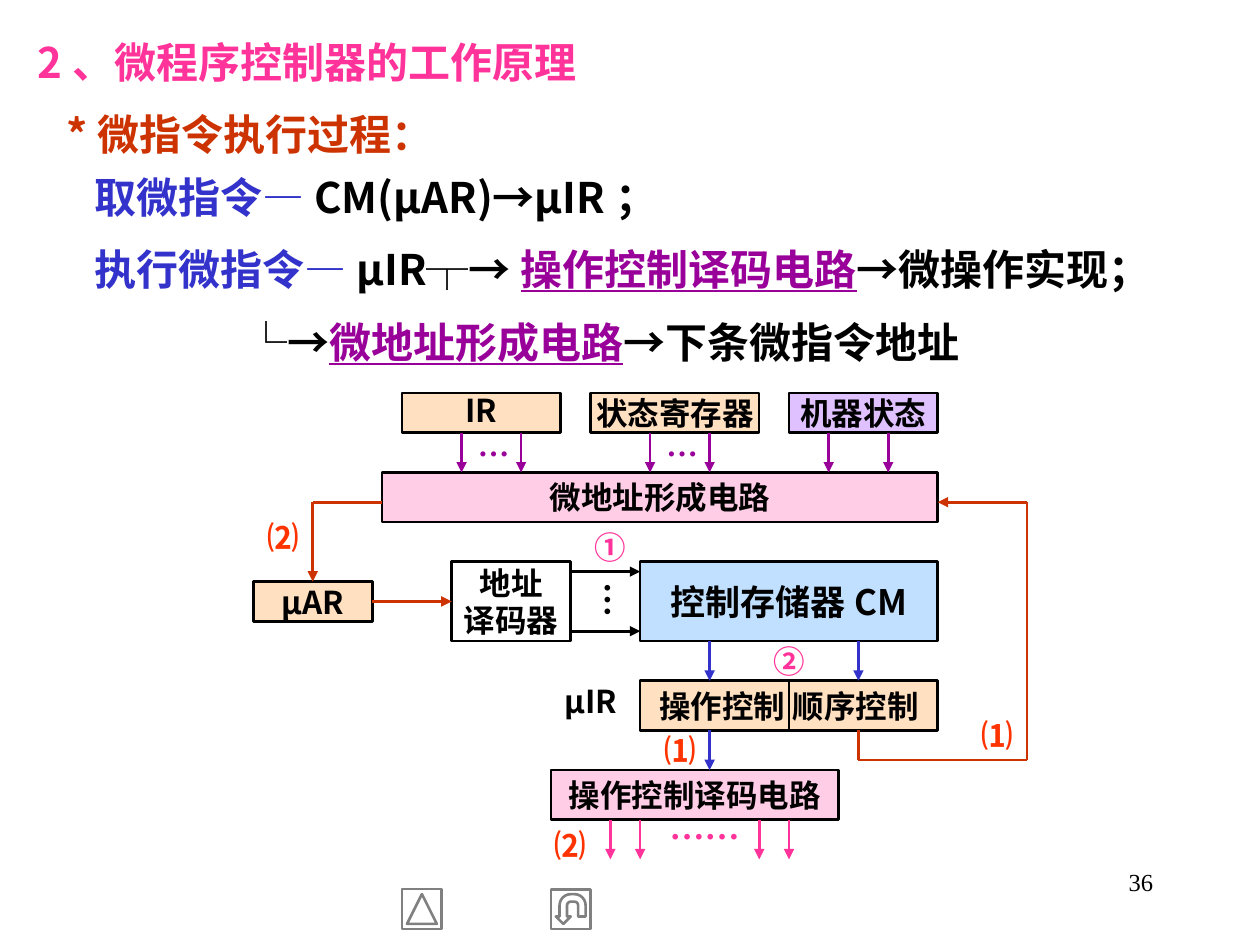
from lxml import etree
from pptx import Presentation
from pptx import util as u
from pptx.dml.color import RGBColor
from pptx.enum import shapes, text
from pptx.oxml.ns import qn

SANS, SERIF = "Noto Sans CJK SC", "Times New Roman"
BLACK = RGBColor(0x00, 0x00, 0x00)
PINK = RGBColor(0xFF, 0x33, 0x99)
RUST = RGBColor(0xCC, 0x33, 0x00)
ORANGE = RGBColor(0xFF, 0x33, 0x00)
BLUE = RGBColor(0x33, 0x33, 0xCC)
PURPLE = RGBColor(0x99, 0x00, 0x99)
GREY = RGBColor(0x80, 0x80, 0x80)
ROSE = RGBColor(0xFF, 0x99, 0xCC)
PEACH = RGBColor(0xFF, 0xCC, 0x99)
SKY = RGBColor(0x99, 0xCC, 0xFF)
LILAC = RGBColor(0xCC, 0x99, 0xFF)

# The diagram stands on a 2 mm grid.
CELL = u.Mm(2)
LEFT, TOP = u.Inches(2.01), u.Inches(3.12)


def col(number):
    return int(LEFT + number * CELL)


def row(number):
    return int(TOP + number * CELL)


def place(column, line, width, height):
    return col(column), row(line), int(width * CELL), int(height * CELL)


def apply(target, values):
    for name, value in values.items():
        setattr(target, name, value)


def add_span(para, words, colour, size, face=SANS, **extra):
    span = para.add_run()
    span.text = words
    apply(span.font, {"name": face, "size": u.Pt(size), "bold": True, **extra})
    span.font.color.rgb = colour
    latin = span.font._element.find(qn("a:latin"))
    east = etree.Element(qn("a:ea"), typeface=face)
    latin.addnext(east)


def set_frame(frame, margins, anchor):
    side, end = margins
    apply(frame, {"word_wrap": True, "vertical_anchor": anchor,
                  "margin_left": u.Inches(side), "margin_right": u.Inches(side),
                  "margin_top": u.Inches(end), "margin_bottom": u.Inches(end)})


def write_heading(box, top, height, lines):
    """Fill a full-width box; each line is (indent in inches, spans)."""
    apply(box, {"left": u.Inches(0.2), "top": u.Inches(top),
                "width": u.Inches(9.61), "height": u.Inches(height)})
    frame = box.text_frame
    set_frame(frame, (0.1, 0.05), text.MSO_ANCHOR.TOP)
    frame.auto_size = text.MSO_AUTO_SIZE.NONE
    for index, (indent, spans) in enumerate(lines):
        para = frame.add_paragraph() if index else frame.paragraphs[0]
        apply(para, {"line_spacing": 1.25, "alignment": text.PP_ALIGN.LEFT})
        para._p.get_or_add_pPr().set("marL", str(u.Inches(indent)))
        for words, colour in spans:
            add_span(para, words, colour, 24, underline=colour == PURPLE)


def write_label(frame, words, colour=BLACK, size=18, face=SANS, spacing=None):
    set_frame(frame, (0.02, 0.01), text.MSO_ANCHOR.MIDDLE)
    for index, line in enumerate(words.split("\n")):
        para = frame.add_paragraph() if index else frame.paragraphs[0]
        apply(para, {"alignment": text.PP_ALIGN.CENTER, "line_spacing": spacing})
        add_span(para, line, colour, size, face)


def add_label(page, area, words, colour, **style):
    box = page.shapes.add_textbox(*place(*area))
    write_label(box.text_frame, words, colour, **style)
    return box


def add_block(page, area, words, fill=None, opacity=60, **style):
    box = page.shapes.add_shape(shapes.MSO_SHAPE.RECTANGLE, *place(*area))
    box.shadow.inherit = False
    if fill is None:
        box.fill.background()
    else:
        box.fill.solid()
        box.fill.fore_color.rgb = fill
        shade = box.fill._xPr.find(qn("a:solidFill"))[0]
        etree.SubElement(shade, qn("a:alpha"), val=str(opacity * 1000))
    box.line.color.rgb = BLACK
    box.line.width = u.Pt(1.5)
    write_label(box.text_frame, words, **style)


def add_route(page, points, colour, arrow=True, width=1.5):
    """Join grid points with straight lines; the last one may carry an arrowhead."""
    for start, end in zip(points, points[1:]):
        line = page.shapes.add_connector(
            shapes.MSO_CONNECTOR.STRAIGHT,
            col(start[0]), row(start[1]), col(end[0]), row(end[1]))
        line.line.color.rgb = colour
        line.line.width = u.Pt(width)
        if arrow and end == points[-1]:
            etree.SubElement(line.line._get_or_add_ln(), qn("a:tailEnd"), type="triangle")
        etree.SubElement(line._element.spPr, qn("a:effectLst"))


def add_button(page, kind, column, rotation):
    button = page.shapes.add_shape(kind, *place(column, 50, 4, 4))
    button.shadow.inherit = False
    button.rotation = rotation
    button.fill.background()
    button.line.color.rgb = GREY
    button.line.width = u.Pt(1.5)


def add_headings(page):
    write_heading(page.shapes.title, 0.14, 0.6, [(0, [("2、微程序控制器的工作原理", PINK)])])
    sections = [
        (0.71, 1.1, [(0.23, [("*微指令执行过程：", RUST)]),
                     (0.45, [("取微指令—", BLUE), ("CM(μAR)→μIR；", BLACK)])]),
        (1.78, 0.6, [(0.45, [("执行微指令—", BLUE), ("μIR┬→", BLACK),
                             ("操作控制译码电路", PURPLE), ("→微操作实现；", BLACK)])]),
        (2.36, 0.6, [(1.65, [("└→", BLACK), ("微地址形成电路", PURPLE),
                             ("→下条微指令地址", BLACK)])]),
    ]
    for top, height, lines in sections:
        write_heading(page.shapes.add_textbox(0, 0, 0, 0), top, height, lines)


def add_blocks(page):
    add_block(page, (15, 0, 16, 4), "IR", PEACH, spacing=0.85)
    add_block(page, (34, 0, 17, 4), "状态寄存器", PEACH)
    add_block(page, (54, 0, 15, 4), "机器状态", LILAC)
    add_block(page, (13, 8, 56, 5), "微地址形成电路", ROSE, 49)
    add_block(page, (0, 19, 12, 4), "μAR", PEACH)
    add_block(page, (20, 17, 12, 8), "地址\n译码器")
    add_block(page, (39, 17, 30, 8), "控制存储器CM", SKY, size=20)
    add_block(page, (39, 29, 30, 5), "操作控制 顺序控制", PEACH)
    add_block(page, (30, 38, 29, 5), "操作控制译码电路", ROSE, 49)


def add_routes(page):
    drops = [((21, 27, 40, 46, 58, 64), 4, 8, PURPLE), ((46, 61), 25, 29, BLUE),
             ((46,), 34, 38, BLUE), ((36, 39, 51, 54), 43, 47, PINK)]
    for columns, start, end, colour in drops:
        for column in columns:
            add_route(page, [(column, start), (column, end)], colour)
    for line in (18, 24):
        add_route(page, [(32, line), (39, line)], BLACK)
    add_route(page, [(12, 21), (20, 21)], RUST)
    add_route(page, [(13, 11), (6, 11), (6, 19)], RUST)
    add_route(page, [(61, 34), (61, 37), (78, 37), (78, 11), (69, 11)], RUST)
    add_route(page, [(54, 29), (54, 34)], BLACK, arrow=False, width=0.75)


def add_labels(page):
    for area, words, colour in [
            ((1, 13, 4, 3), "⑵", ORANGE), ((73, 33, 4, 3), "⑴", ORANGE),
            ((41, 34, 4, 4), "⑴", ORANGE), ((30, 44, 4, 3), "⑵", ORANGE),
            ((34, 14, 4, 3), "①", PINK), ((52, 25, 4, 4), "②", PINK),
            ((30, 29, 8, 4), "μIR", BLACK)]:
        add_label(page, area, words, colour)
    dots = {"face": SERIF, "spacing": 0.8}
    for column in (22.4, 41.4):
        add_label(page, (column, 4, 3.5, 3), "…", PURPLE, **dots)
    add_label(page, (40, 42, 11, 4), "……", PINK, size=20, **dots)
    upright = add_label(page, (35, 19, 3, 4), "…", BLACK, size=20, **dots)
    upright.text_frame._txBody.bodyPr.set("vert", "eaVert")


def add_page_number(page):
    box = page.shapes.add_textbox(*map(u.Inches, (7.17, 6.83, 2.08, 0.5)))
    set_frame(box.text_frame, (0.1, 0.05), text.MSO_ANCHOR.TOP)
    para = box.text_frame.paragraphs[0]
    para.alignment = text.PP_ALIGN.RIGHT
    add_span(para, "36", BLACK, 14, SERIF, bold=False)


def main():
    deck = Presentation()
    apply(deck, {"slide_width": u.Inches(10), "slide_height": u.Inches(7.5)})
    page = deck.slides.add_slide(deck.slide_layouts[5])
    add_headings(page)
    add_blocks(page)
    add_routes(page)
    add_labels(page)
    add_page_number(page)
    add_button(page, shapes.MSO_SHAPE.ACTION_BUTTON_BACK_OR_PREVIOUS, 15, 90)
    add_button(page, shapes.MSO_SHAPE.ACTION_BUTTON_RETURN, 30, 180)
    deck.save("out.pptx")


if __name__ == "__main__":
    main()
